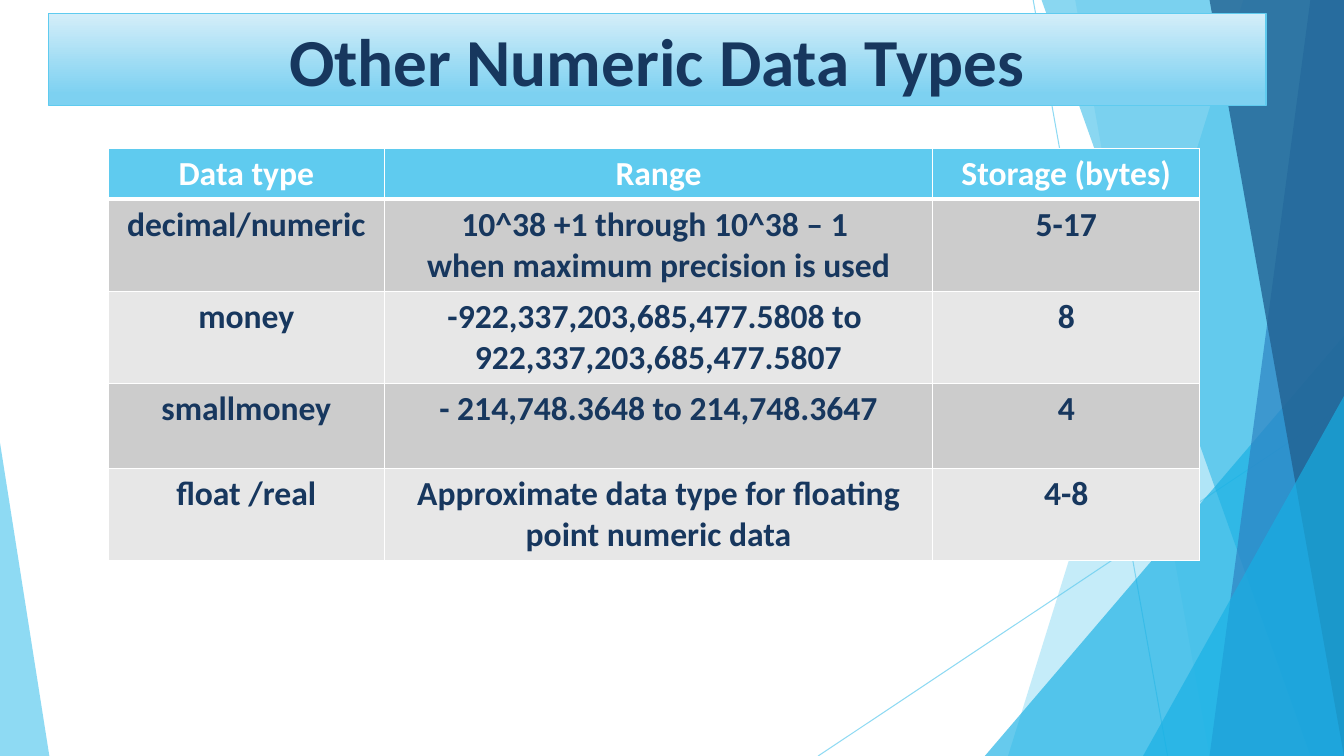
from lxml.etree import SubElement
from pptx import Presentation
from pptx.dml.color import RGBColor
from pptx.enum.shapes import MSO_CONNECTOR, MSO_SHAPE
from pptx.enum.text import MSO_ANCHOR, PP_ALIGN
from pptx.oxml.ns import qn
from pptx.util import Inches, Pt

SKY, AZURE, NAVY, WHITE = "5FCBEF", "17B0E4", "17375E", "FFFFFF"

deck = Presentation()
deck.slide_width, deck.slide_height = Inches(13.33), Inches(7.5)
slide = deck.slides.add_slide(deck.slide_layouts[6])
shapes = slide.shapes

# Grid: 40 columns by 30 rows
COL, ROW = deck.slide_width / 40, deck.slide_height / 30


def paint(fill, color, opacity=100):
    fill.solid()
    fill.fore_color.rgb = RGBColor.from_string(color)
    if opacity < 100:
        rgb = fill._xPr.find(qn("a:solidFill"))[0]
        SubElement(rgb, qn("a:alpha"), val=str(opacity * 1000))


def write(paragraph, text, size, color):
    paragraph.alignment = PP_ALIGN.CENTER
    run = paragraph.add_run()
    run.text = text
    run.font.name, run.font.size, run.font.bold = "Calibri", Pt(size), True
    paint(run.font.fill, color)


# Thin rays behind the facets
for x1, y1, x2, y2 in [(30.75, 0, 34.75, 30), (40, 16.1, 24.35, 30)]:
    ray = shapes.add_connector(MSO_CONNECTOR.STRAIGHT, round(x1 * COL), round(y1 * ROW),
                               round(x2 * COL), round(y2 * ROW))
    ray.line.width = Pt(0.75)
    paint(ray.line.fill, SKY, 70)
    SubElement(ray._element.spPr, qn("a:effectLst"))

# Facets: a band has its left edge's top and bottom column and reaches the right side;
# a triangle has left column, top row, width and apex, and stands on the bottom
facets = [
    ("band", (36.84, 30.12), SKY, 36),
    ("band", (31.5, 35.5), SKY, 20),
    ("triangle", (29.31, 13.32, 10.69, 1), AZURE, 66),
    ("band", (30.63, 38.73), AZURE, 50),
    ("band", (39.09, 35.76), "2E83C3", 70),
    ("band", (35.88, 39.54), "226292", 80),
    ("triangle", (34.02, 15.72, 5.98, 1), AZURE, 66),
    ("triangle", (0, 17.56, 1.47, 0), SKY, 70),
]
for kind, geometry, color, opacity in facets:
    if kind == "band":
        top, bottom = geometry
        outline = shapes.build_freeform(top, 0, scale=(COL, ROW))
        outline.add_line_segments([(40, 0), (40, 30), (bottom, 30)], close=True)
        facet = outline.convert_to_shape()
    else:
        left, top, width, apex = geometry
        facet = shapes.add_shape(MSO_SHAPE.ISOSCELES_TRIANGLE, round(left * COL), round(top * ROW),
                                 round(width * COL), round((30 - top) * ROW))
        facet.adjustments[0] = apex
    facet.shadow.inherit = False
    facet.line.fill.background()
    paint(facet.fill, color, opacity)

# Title banner
banner = shapes.add_shape(MSO_SHAPE.RECTANGLE, round(1.44 * COL), round(0.54 * ROW),
                          round(36.24 * COL), round(3.64 * ROW))
banner.shadow.inherit = False
banner.fill.gradient()
banner.fill.gradient_angle = 270
for stop, position, color in zip(banner.fill.gradient_stops, (0, 0.88), ("D4EEF9", "7DD1F1")):
    stop.position = position
    stop.color.rgb = RGBColor.from_string(color)
banner.line.width = Pt(1)
paint(banner.line.fill, SKY)
banner.text_frame.word_wrap = True
banner.text_frame.vertical_anchor = MSO_ANCHOR.MIDDLE
write(banner.text_frame.paragraphs[0], "Other Numeric Data Types", 48, NAVY)

# Data type table
data_types = [
    ("Data type", "Range", "Storage (bytes)"),
    ("decimal/numeric", "10^38 +1 through 10^38 – 1 \nwhen maximum precision is used", "5-17"),
    ("money", "-922,337,203,685,477.5808 to \n922,337,203,685,477.5807", "8"),
    ("smallmoney", "- 214,748.3648 to 214,748.3647", "4"),
    ("float /real", "Approximate data type for floating point numeric data", "4-8"),
]
column_spans = (8.22, 16.32, 7.95)
row_spans = (2, 3.6, 3.6, 3.36, 3.6)
table = shapes.add_table(len(row_spans), len(column_spans), round(3.22 * COL), round(5.88 * ROW),
                         round(sum(column_spans) * COL), round(sum(row_spans) * ROW)).table
for column, span in zip(table.columns, column_spans):
    column.width = round(span * COL)
for row, span in zip(table.rows, row_spans):
    row.height = round(span * ROW)

for r, entries in enumerate(data_types):
    header = r == 0
    for c, entry in enumerate(entries):
        cell = table.cell(r, c)
        for side in ("lnL", "lnR", "lnT", "lnB"):
            weight = 3 if header and side == "lnB" else 1
            border = SubElement(cell._tc.get_or_add_tcPr(), qn(f"a:{side}"), w=str(Pt(weight)))
            SubElement(SubElement(border, qn("a:solidFill")), qn("a:srgbClr"), val=WHITE)
        paint(cell.fill, SKY if header else ("E7E7E7", "CCCCCC")[r % 2])
        for i, line in enumerate(entry.split("\n")):
            frame = cell.text_frame
            paragraph = frame.add_paragraph() if i else frame.paragraphs[0]
            write(paragraph, line, 24, WHITE if header else NAVY)

deck.save("out.pptx")
